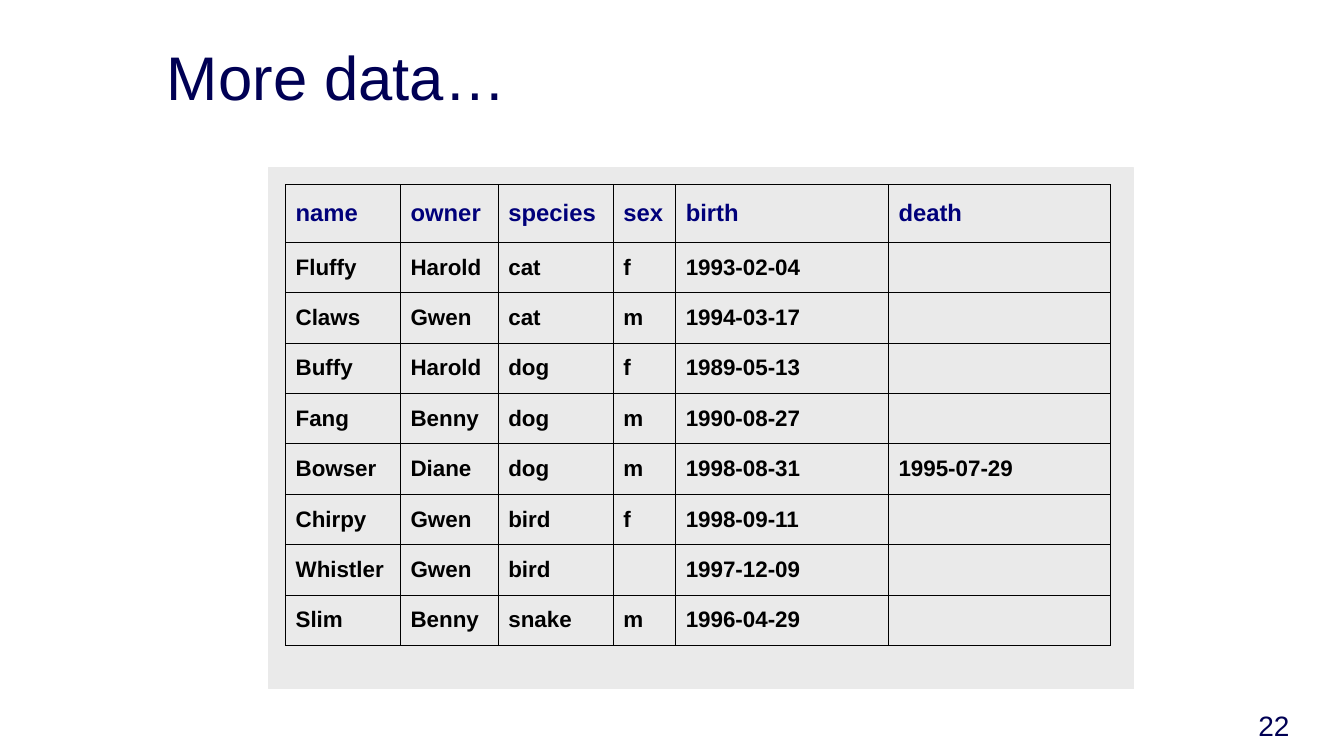
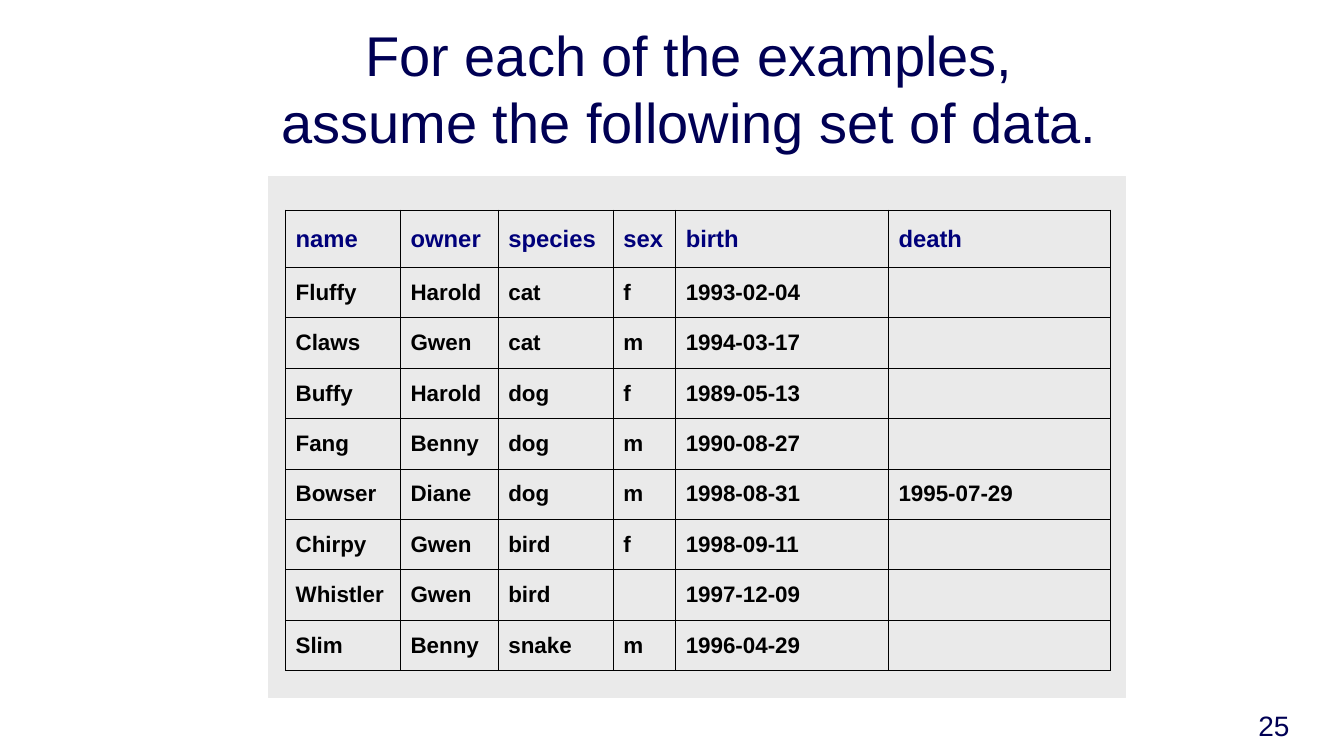
from lxml import etree
from pptx import Presentation
from pptx import util as u
from pptx.dml import color
from pptx.enum import shapes, text
from pptx.oxml import ns

NAVY, HEADING, BLACK, GREY = "000054", "00007A", "000000", "EAEAEA"
HANG = u.Inches(0.38)
WIDTHS = [1.14, 0.97, 1.14, 0.62, 2.11, 2.2]
HEADER_HEIGHT, ROW_HEIGHT = 0.57, 0.5

PETS = [
    ["name", "owner", "species", "sex", "birth", "death"],
    ["Fluffy", "Harold", "cat", "f", "1993-02-04", ""],
    ["Claws", "Gwen", "cat", "m", "1994-03-17", ""],
    ["Buffy", "Harold", "dog", "f", "1989-05-13", ""],
    ["Fang", "Benny", "dog", "m", "1990-08-27", ""],
    ["Bowser", "Diane", "dog", "m", "1998-08-31", "1995-07-29"],
    ["Chirpy", "Gwen", "bird", "f", "1998-09-11", ""],
    ["Whistler", "Gwen", "bird", "", "1997-12-09", ""],
    ["Slim", "Benny", "snake", "m", "1996-04-29", ""],
]

PAGES = [
    {"title": "More data…", "size": 44, "align": text.PP_ALIGN.LEFT, "number": "22",
     "title_area": (18.7, 3, 136, 11), "panel": (32, 20, 103, 62), "table": (34, 22, 98, 55)},
    {"title": "For each of the examples, assume the following set of data.",
     "size": 40, "align": text.PP_ALIGN.CENTER, "number": "25",
     "title_area": (31, 2, 102, 17), "panel": (32, 21, 102, 62), "table": (34, 25, 98, 55)},
]
NUMBER_AREA = (121.3, 83, 33.4, 6)

deck = Presentation()
deck.slide_width, deck.slide_height = u.Inches(13.33), u.Inches(7.5)
COLUMN, ROW = deck.slide_width / 160, deck.slide_height / 90


def rgb(value):
    return color.RGBColor.from_string(value)


def write(para, words, size, ink, **formats):
    span = para.add_run()
    span.text = words
    span.font.color.rgb = rgb(ink)
    for name, value in {"name": "Arial", "size": u.Pt(size), **formats}.items():
        setattr(span.font, name, value)


for details in PAGES:
    page = deck.slides.add_slide(deck.slide_layouts[6])
    areas = {
        name: [int(share * unit) for share, unit in zip(area, (COLUMN, ROW, COLUMN, ROW))]
        for name, area in [("number", NUMBER_AREA), ("title", details["title_area"]),
                           ("panel", details["panel"]), ("table", details["table"])]
    }

    for name, size, align in [("number", 20, text.PP_ALIGN.RIGHT),
                              ("title", details["size"], details["align"])]:
        box = page.shapes.add_textbox(*areas[name])
        frame = box.text_frame
        for setting, value in {"word_wrap": True, "auto_size": text.MSO_AUTO_SIZE.NONE,
                               "vertical_anchor": text.MSO_ANCHOR.BOTTOM}.items():
            setattr(frame, setting, value)
        para = frame.paragraphs[0]
        para.alignment = align
        write(para, details[name], size, NAVY)

    panel = page.shapes.add_shape(shapes.MSO_SHAPE.RECTANGLE, *areas["panel"])
    panel.shadow.inherit = False
    panel.fill.solid()
    panel.fill.fore_color.rgb = rgb(GREY)
    panel.line.color.rgb = rgb(GREY)
    panel.line.width = u.Pt(0.75)

    table = page.shapes.add_table(len(PETS), len(WIDTHS), *areas["table"]).table
    table.first_row = table.horz_banding = False
    for column, width in zip(table.columns, WIDTHS):
        column.width = u.Inches(width)
    for index, record in enumerate(PETS):
        table.rows[index].height = u.Inches(ROW_HEIGHT if index else HEADER_HEIGHT)
        size, ink = (16, BLACK) if index else (17, HEADING)
        for position, words in enumerate(record):
            cell = table.cell(index, position)
            cell.vertical_anchor = text.MSO_ANCHOR.MIDDLE
            properties = cell._tc.get_or_add_tcPr()
            for side in ("lnL", "lnR", "lnT", "lnB"):
                border = etree.SubElement(properties, ns.qn(f"a:{side}"), w=str(u.Pt(0.75)))
                paint = etree.SubElement(border, ns.qn("a:solidFill"))
                etree.SubElement(paint, ns.qn("a:srgbClr"), val=BLACK)
            cell.fill.background()
            if words:
                para = cell.text_frame.paragraphs[0]
                indents = para._p.get_or_add_pPr()
                indents.set("marL", str(HANG))
                indents.set("indent", str(-HANG))
                write(para, words, size, ink, bold=True)

deck.save("out.pptx")
